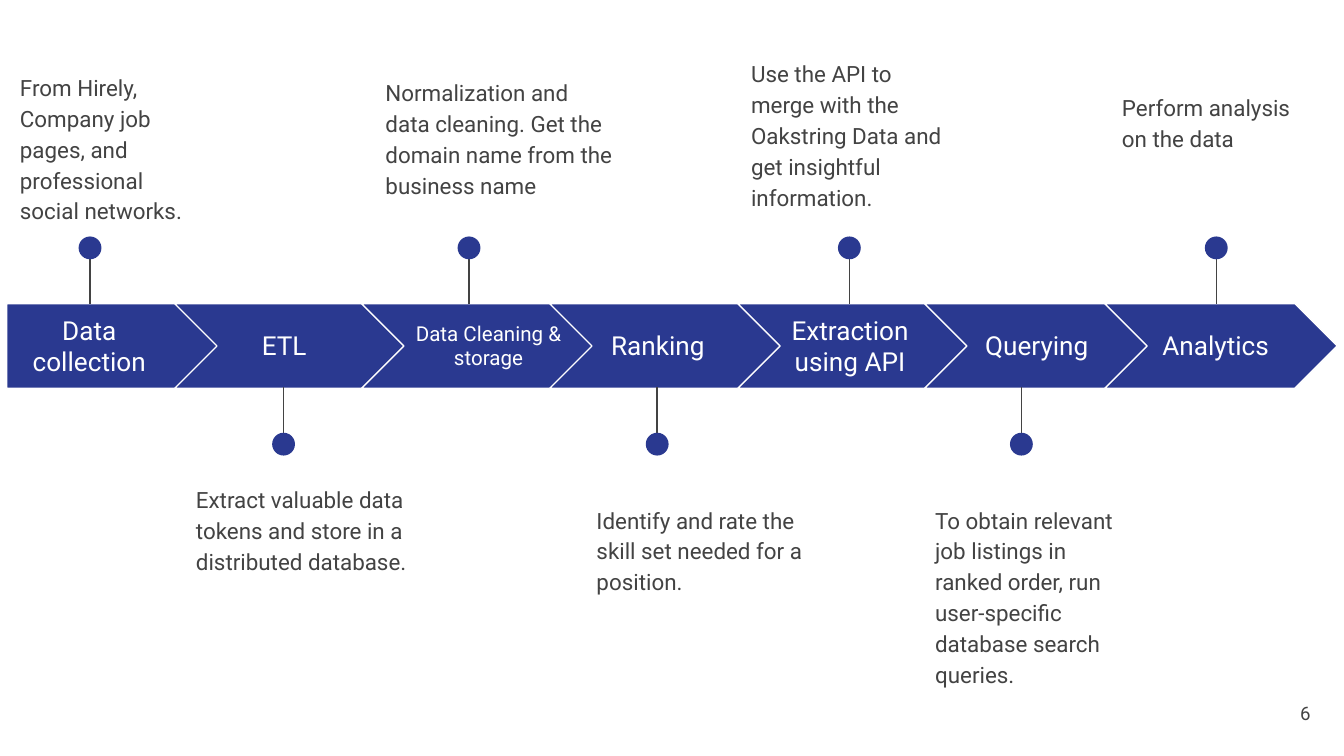
from dataclasses import dataclass

from lxml.etree import SubElement
from pptx import Presentation
from pptx.dml.color import RGBColor
from pptx.enum.shapes import MSO_CONNECTOR as Connector, MSO_SHAPE as Shape
from pptx.enum.text import MSO_ANCHOR as Anchor, PP_ALIGN as Align
from pptx.oxml.ns import qn
from pptx.slide import Slide
from pptx.util import Inches, Pt

FONT = "Roboto"
BLUE, WHITE, GRAY = "2A3990", "FFFFFF", "434343"
ARROW_TOP, ARROW_HEIGHT = 2.26, 0.63
FIRST_WIDTH, CHEVRON_WIDTH = 1.58, 1.73
LABEL_TOP, LABEL_HEIGHT = 2.37, 0.4
DOT_SIZE = 0.17


@dataclass(frozen=True)
class Step:
    label: str
    arrow_left: float
    label_left: float
    pin_x: float
    note: str
    note_left: float
    note_top: float
    note_width: float
    above: bool
    label_width: float = 1.11
    label_size: int = 14
    note_height: float = 0.99


STEPS = [
    Step("Data collection", 0.05, 0.05, 0.67,
         "From Hirely, Company job pages, and professional social networks.",
         0.05, 0.42, 1.51, True, label_width=1.23),
    Step("ETL", 1.3, 1.56, 2.11,
         "Extract valuable data tokens and store in a distributed database.",
         1.36, 3.49, 2.03, False),
    Step("Data Cleaning & storage", 2.69, 2.94, 3.49,
         "Normalization and data cleaning. Get the domain name from the business name",
         2.77, 0.46, 1.9, True, label_width=1.39, label_size=11),
    Step("Ranking", 4.09, 4.34, 4.89,
         "Identify and rate the skill set needed for a position.",
         4.34, 3.64, 1.9, False),
    Step("Extraction using API", 5.49, 5.77, 6.32,
         "Use the API to merge with the Oakstring Data and get insightful information.",
         5.49, 0.32, 1.67, True),
    Step("Querying", 6.88, 7.16, 7.6,
         "To obtain relevant job listings in ranked order, run user-specific "
         "database search queries.",
         6.86, 3.64, 1.67, False, note_height=1.57),
    Step("Analytics", 8.22, 8.49, 9.05,
         "Perform analysis on the data",
         8.25, 0.57, 1.67, True, note_height=1.09),
]


def color(value: str) -> RGBColor:
    return RGBColor.from_string(value)


def add_text(page: Slide, text: str, left: float, top: float, width: float,
             height: float, *, size: int, ink: str = GRAY, align=Align.LEFT,
             anchor=Anchor.TOP, spacing: float = 1.0) -> None:
    box = page.shapes.add_textbox(Inches(left), Inches(top), Inches(width), Inches(height))
    frame = box.text_frame
    frame.word_wrap = True
    frame.vertical_anchor = anchor
    frame.margin_left = frame.margin_right = Inches(0.1)
    frame.margin_top = frame.margin_bottom = Inches(0.1)
    para = frame.paragraphs[0]
    para.alignment = align
    para.line_spacing = spacing
    span = para.add_run()
    span.text = text
    span.font.name = FONT
    span.font.size = Pt(size)
    span.font.color.rgb = color(ink)


def add_blue_shape(page: Slide, kind: Shape, left: float, top: float,
                   width: float, height: float, outline: bool) -> None:
    shape = page.shapes.add_shape(
        kind, Inches(left), Inches(top), Inches(width), Inches(height))
    shape.shadow.inherit = False
    shape.fill.solid()
    shape.fill.fore_color.rgb = color(BLUE)
    if outline:
        shape.line.color.rgb = color(WHITE)
        shape.line.width = Pt(0.75)
    else:
        shape.line.fill.background()


def add_pin(page: Slide, x: float, above: bool) -> None:
    """Draw a stem from the arrow band to a dot above or below it."""
    start, end, dot_top = (1.79, 2.26, 1.76) if above else (3.35, 2.88, 3.22)
    stem = page.shapes.add_connector(
        Connector.STRAIGHT, Inches(x), Inches(start), Inches(x), Inches(end))
    stem.line.color.rgb = color(GRAY)
    stem.line.width = Pt(0.75)
    SubElement(stem.element.spPr, qn("a:effectLst"))
    add_blue_shape(page, Shape.OVAL, x - DOT_SIZE / 2, dot_top, DOT_SIZE, DOT_SIZE, False)


def add_step(page: Slide, step: Step, first: bool) -> None:
    kind = Shape.PENTAGON if first else Shape.CHEVRON
    width = FIRST_WIDTH if first else CHEVRON_WIDTH
    add_blue_shape(page, kind, step.arrow_left, ARROW_TOP, width, ARROW_HEIGHT, True)
    add_text(page, step.label, step.label_left, LABEL_TOP, step.label_width, LABEL_HEIGHT,
             size=step.label_size, ink=WHITE, align=Align.CENTER, anchor=Anchor.MIDDLE)
    add_pin(page, step.pin_x, step.above)
    add_text(page, step.note, step.note_left, step.note_top, step.note_width,
             step.note_height, size=12, spacing=1.15)


def main() -> None:
    deck = Presentation()
    # Widescreen, 16:9
    deck.slide_width = Inches(10)
    deck.slide_height = deck.slide_width * 9 // 16
    page = deck.slides.add_slide(deck.slide_layouts[6])

    # Process steps
    for index, step in enumerate(STEPS):
        add_step(page, step, first=index == 0)

    # Page number
    add_text(page, "6", 9.25, 5.09, 0.6, 0.43, size=10,
             align=Align.RIGHT, anchor=Anchor.MIDDLE)

    deck.save("out.pptx")


if __name__ == "__main__":
    main()
